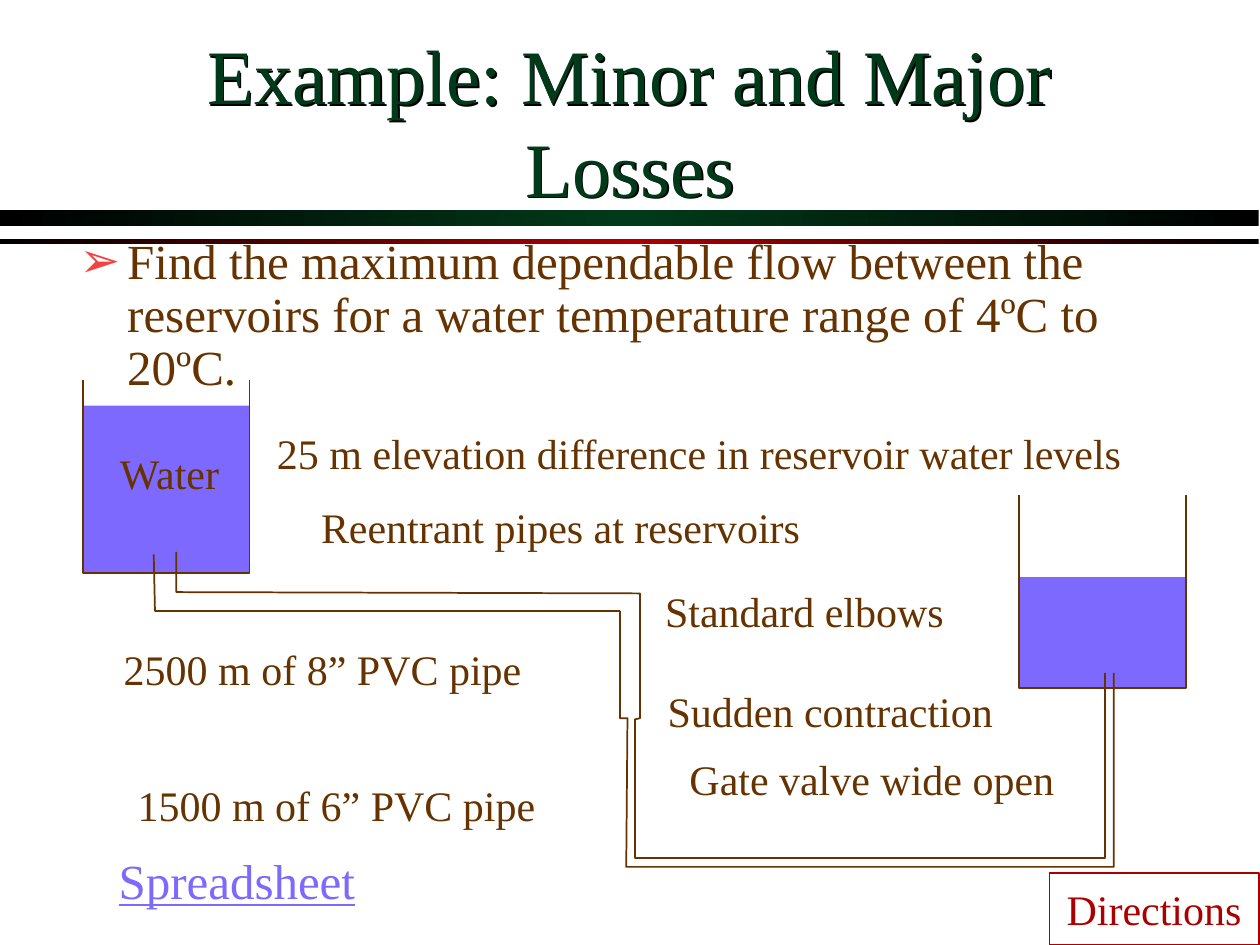
from copy import deepcopy
from lxml.etree import SubElement as Sub
from pptx import Presentation
from pptx.dml.color import RGBColor as Rgb
from pptx.enum.shapes import MSO_SHAPE as Kind
from pptx.enum.text import MSO_ANCHOR as Anchor, MSO_AUTO_SIZE as Fit, PP_ALIGN as Align
from pptx.oxml.ns import qn
from pptx.util import Inches, Pt

HUES = {"text": "663300", "title": "003A1A", "red": "AC0000", "water": "7E69FF",
        "bullet": "F14343", "black": "000000"}
FONT = "Times New Roman"
COLS = 100  # square grid: 100 columns by 75 rows
UNIT = Inches(10) / COLS


def hue(name):
    return Rgb.from_string(HUES[name])


def grid(*nums):
    return [round(n * UNIT) for n in nums]


def write(par, text, size, name, under=None):
    run = par.add_run()
    run.text = text
    font = run.font
    font.name, font.size, font.underline = FONT, Pt(size), under
    font.color.rgb = hue(name)


def place(shape, box):
    shape.left, shape.top, shape.width, shape.height = grid(*box)


def block(slide, box, kind=Kind.RECTANGLE, fill=None):
    shape = slide.shapes.add_shape(kind, *grid(*box))
    shape.shadow.inherit = False
    shape.line.fill.background()
    if fill:
        shape.fill.solid()
        shape.fill.fore_color.rgb = hue(fill)
    else:
        shape.fill.background()
    return shape


def trace(slide, box, spots):
    """Draw an open line through spots counted from the box corner."""
    dots = [grid(box[0] + x, box[1] + y) for x, y in spots]
    pen = slide.shapes.build_freeform(*dots[0], scale=1.0)
    pen.add_line_segments(dots[1:], close=False)
    shape = pen.convert_to_shape()
    shape.shadow.inherit = False
    shape.fill.background()
    shape.line.color.rgb = hue("text")
    shape.line.width = Pt(1)


def center(shape, text, size, name, under=None):
    frame = shape.text_frame
    frame.word_wrap = False
    frame.auto_size = Fit.SHAPE_TO_FIT_TEXT
    frame.vertical_anchor = Anchor.MIDDLE
    par = frame.paragraphs[0]
    par.alignment = Align.CENTER
    write(par, text, size, name, under)


def label(slide, box, text, size=24, name="text", under=None):
    center(slide.shapes.add_textbox(*grid(*box)), text, size, name, under)


def band(slide, box, name):
    """Rule that fades from black to a colour and back."""
    shape = block(slide, box)
    shape.fill.gradient()
    shape.fill.gradient_angle = 0
    first, last = shape.fill.gradient_stops
    first.position, last.position = 0, 0.5
    first.color.rgb, last.color.rgb = hue("black"), hue(name)
    stops = next(shape.element.spPr.iter(qn("a:gsLst")))
    end = deepcopy(stops[0])
    end.set("pos", "100000")
    stops.append(end)
    # Keep the rule behind the placeholders
    slide.shapes.element.insert(2, shape.element)


def heading(slide, box):
    shape = slide.shapes.title
    place(shape, box)
    frame = shape.text_frame
    frame.auto_size, frame.vertical_anchor = Fit.NONE, Anchor.MIDDLE
    par = frame.paragraphs[0]
    par.alignment = Align.CENTER
    write(par, "Example: Minor and Major Losses", 44, "title")
    # With no fill, the shadow falls from the letters
    shape.fill.background()
    shape.shadow.inherit = False
    effects = next(shape.element.spPr.iter(qn("a:effectLst")))
    cast = Sub(effects, qn("a:outerShdw"), dist=str(Pt(1.4)), dir="2700000")
    Sub(cast, qn("a:srgbClr"), val=HUES["black"])


def task(slide, box):
    shape = slide.placeholders[1]
    place(shape, box)
    frame = shape.text_frame
    frame.auto_size, frame.vertical_anchor = Fit.NONE, Anchor.TOP
    par = frame.paragraphs[0]
    par.line_spacing, par.space_before = 0.9, Pt(5.6)
    write(par, "Find the maximum dependable flow between the reservoirs "
               "for a water temperature range of 4ºC to 20ºC.", 28, "text")
    props = par._p.get_or_add_pPr()
    indent = Inches(0.38)
    props.set("marL", str(indent))
    props.set("indent", str(-indent))
    Sub(Sub(props, qn("a:buClr")), qn("a:srgbClr"), val=HUES["bullet"])
    Sub(props, qn("a:buChar"), char="➢")


def tank(slide, box, level):
    """Open vessel, with water filling the lower rows."""
    left, top, wide, high = box
    block(slide, (left, top + high - level, wide, level), fill="water")
    trace(slide, box, [(0, 0), (0, high), (wide, high), (wide, 0)])


def pipe(slide, box):
    """Two walls of the pipe, stepping in at the contraction."""
    _, _, wide, high = box
    outer = [(0, 0.2), (0.1, 4.7), (37, 4.7), (37, 13.2), (37.6, 13.2),
             (37.5, high), (wide, high), (wide, 9.6)]
    inner = [(1.8, 0), (1.8, 3.2), (38.6, 3.3), (38.6, 13.2), (38.2, 13.3),
             (38.2, high - 0.7), (wide - 0.7, high - 0.7), (wide - 0.7, 9.6)]
    for wall in (outer, inner):
        trace(slide, box, wall)


def button(slide, box):
    shape = block(slide, box, Kind.ACTION_BUTTON_CUSTOM)
    shape.line.color.rgb = hue("red")
    shape.line.width = Pt(1)
    center(shape, "Directions", 24, "red")


def main():
    deck = Presentation()
    deck.slide_width, deck.slide_height = grid(COLS, 75)
    slide = deck.slides.add_slide(deck.slide_layouts[1])

    # Header and task
    band(slide, (0, 19, 99.9, 0.4), "red")
    band(slide, (0, 16.7, 99.9, 1.2), "title")
    heading(slide, (7.5, 3.3, 85, 12.5))
    task(slide, (5.3, 18.3, 91.9, 11.7))

    # Reservoirs joined by the pipe
    tank(slide, (6.6, 30.2, 13.2, 15.3), 13.3)
    tank(slide, (80.9, 39.3, 13.2, 15.3), 8.8)
    pipe(slide, (12.2, 43.8, 76.2, 25))

    # Labels: left, top, width, text
    for left, top, wide, text in [
        (8.4, 35, 10.1, "Water"),
        (8.7, 50.6, 33.8, "2500 m of 8” PVC pipe"),
        (9.8, 61.4, 33.8, "1500 m of 6” PVC pipe"),
        (53.6, 59.3, 31.2, "Gate valve wide open"),
        (51.7, 46, 24.3, "Standard elbows"),
        (24.2, 39.3, 40.6, "Reentrant pipes at reservoirs"),
        (20.7, 33.4, 69.6, "25 m elevation difference in reservoir water levels"),
        (51.9, 53.9, 28, "Sudden contraction"),
    ]:
        label(slide, (left, top, wide, 5), text)

    # Footer
    button(slide, (83.3, 69.3, 16.6, 5.7))
    label(slide, (8.4, 67, 20.8, 5.7), "Spreadsheet", 28, "water", True)
    deck.save("out.pptx")


if __name__ == "__main__":
    main()
